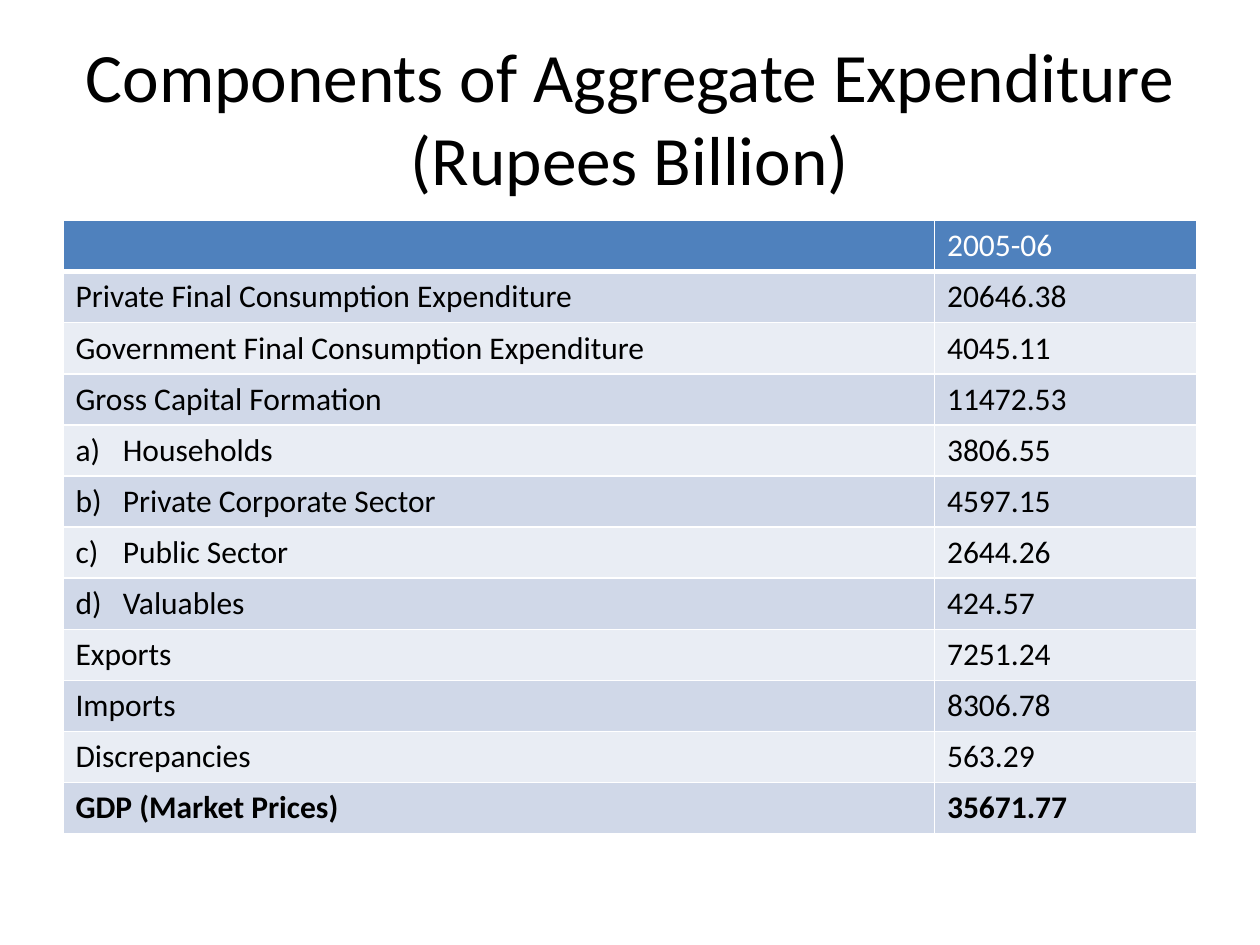
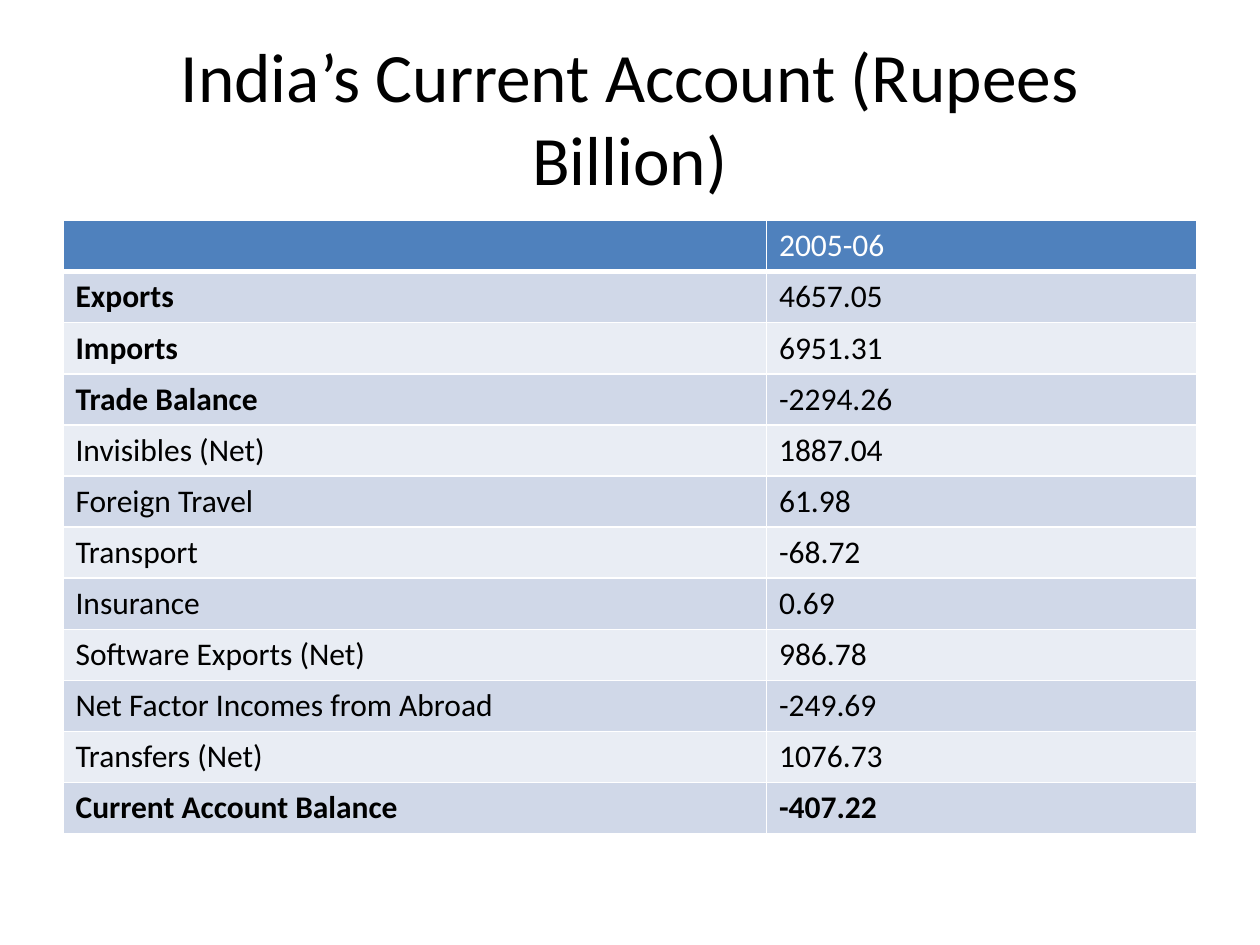
import pptx
import pptx.util
import pptx.dml.color
import pptx.enum.text
import pptx.oxml.ns
import lxml.etree

Pt = pptx.util.Pt
RGBColor = pptx.dml.color.RGBColor
ALIGN = pptx.enum.text.PP_ALIGN
ANCHOR = pptx.enum.text.MSO_ANCHOR
qn = pptx.oxml.ns.qn

BLACK = RGBColor(0x00, 0x00, 0x00)
WHITE = RGBColor(0xFF, 0xFF, 0xFF)
HEADER_BLUE = RGBColor(0x4F, 0x81, 0xBD)
BAND_DARK = RGBColor(0xD0, 0xD8, 0xE8)
BAND_LIGHT = RGBColor(0xE9, 0xED, 0xF4)

FONT = "Calibri"
LEFT = Pt(36)
WIDTH = 648
ROW_HEIGHT = Pt(29.2)
LIST_INDENT = Pt(27)

TABLES = [
    {
        "title": "Components of Aggregate Expenditure (Rupees Billion)",
        "label_width": 498,
        "rows": [
            ("Private Final Consumption Expenditure", "20646.38"),
            ("Government Final Consumption Expenditure", "4045.11"),
            ("Gross Capital Formation", "11472.53"),
            ("Households", "3806.55"),
            ("Private Corporate Sector", "4597.15"),
            ("Public Sector", "2644.26"),
            ("Valuables", "424.57"),
            ("Exports", "7251.24"),
            ("Imports", "8306.78"),
            ("Discrepancies", "563.29"),
            ("GDP (Market Prices)", "35671.77"),
        ],
        "lettered": ["Households", "Private Corporate Sector", "Public Sector", "Valuables"],
        "bold_labels": [],
    },
    {
        "title": "India’s Current Account (Rupees Billion)",
        "label_width": 402,
        "rows": [
            ("Exports", "4657.05"),
            ("Imports", "6951.31"),
            ("Trade Balance", "-2294.26"),
            ("Invisibles (Net)", "1887.04"),
            ("Foreign Travel", "61.98"),
            ("Transport", "-68.72"),
            ("Insurance", "0.69"),
            ("Software Exports (Net)", "986.78"),
            ("Net Factor Incomes from Abroad", "-249.69"),
            ("Transfers (Net)", "1076.73"),
            ("Current Account Balance", "-407.22"),
        ],
        "lettered": [],
        "bold_labels": ["Exports", "Imports", "Trade Balance"],
    },
]


def write_text(text_frame, text, size=18, color=BLACK, bold=False, align=ALIGN.LEFT, letter=None):
    paragraph = text_frame.paragraphs[0]
    paragraph.alignment = align
    paragraph.font.size = Pt(size)
    if letter:
        properties = paragraph._p.get_or_add_pPr()
        properties.set("marL", str(LIST_INDENT))
        properties.set("indent", str(-LIST_INDENT))
        numbering = lxml.etree.Element(qn("a:buAutoNum"), type="alphaLcParenR", startAt=str(letter))
        properties.insert(0, numbering)
    if text:
        run = paragraph.add_run()
        run.text = text
        run.font.name = FONT
        run.font.size = Pt(size)
        run.font.bold = bold
        run.font.color.rgb = color


def style_cell(cell, fill, bottom_width):
    properties = cell._tc.get_or_add_tcPr()
    for side, width in (("L", 1), ("R", 1), ("T", 1), ("B", bottom_width)):
        line = lxml.etree.SubElement(properties, qn(f"a:ln{side}"), w=str(Pt(width)))
        solid = lxml.etree.SubElement(line, qn("a:solidFill"))
        lxml.etree.SubElement(solid, qn("a:srgbClr"), val=str(WHITE))
    cell.fill.solid()
    cell.fill.fore_color.rgb = fill


presentation = pptx.Presentation()
presentation.slide_width = Pt(720)
presentation.slide_height = Pt(540)

for content in TABLES:
    slide = presentation.slides.add_slide(presentation.slide_layouts[6])

    title = slide.shapes.add_textbox(LEFT, Pt(21.6), Pt(WIDTH), Pt(90))
    title.text_frame.word_wrap = True
    title.text_frame.vertical_anchor = ANCHOR.MIDDLE
    write_text(title.text_frame, content["title"], size=39.6, align=ALIGN.CENTER)

    rows = [("", "2005-06")] + content["rows"]
    table = slide.shapes.add_table(
        len(rows), 2, LEFT, Pt(126), Pt(WIDTH), ROW_HEIGHT * len(rows)
    ).table
    table.columns[0].width = Pt(content["label_width"])
    table.columns[1].width = Pt(WIDTH - content["label_width"])

    for row_index, row in enumerate(rows):
        table.rows[row_index].height = ROW_HEIGHT
        is_header = row_index == 0
        is_total = row_index == len(rows) - 1
        band = BAND_DARK if row_index % 2 else BAND_LIGHT
        for column_index, text in enumerate(row):
            cell = table.cell(row_index, column_index)
            style_cell(cell, HEADER_BLUE if is_header else band, 3 if is_header else 1)
            lettered = content["lettered"]
            write_text(
                cell.text_frame,
                text,
                color=WHITE if is_header else BLACK,
                bold=is_total or text in content["bold_labels"],
                letter=lettered.index(text) + 1 if text in lettered else None,
            )

presentation.save("out.pptx")
